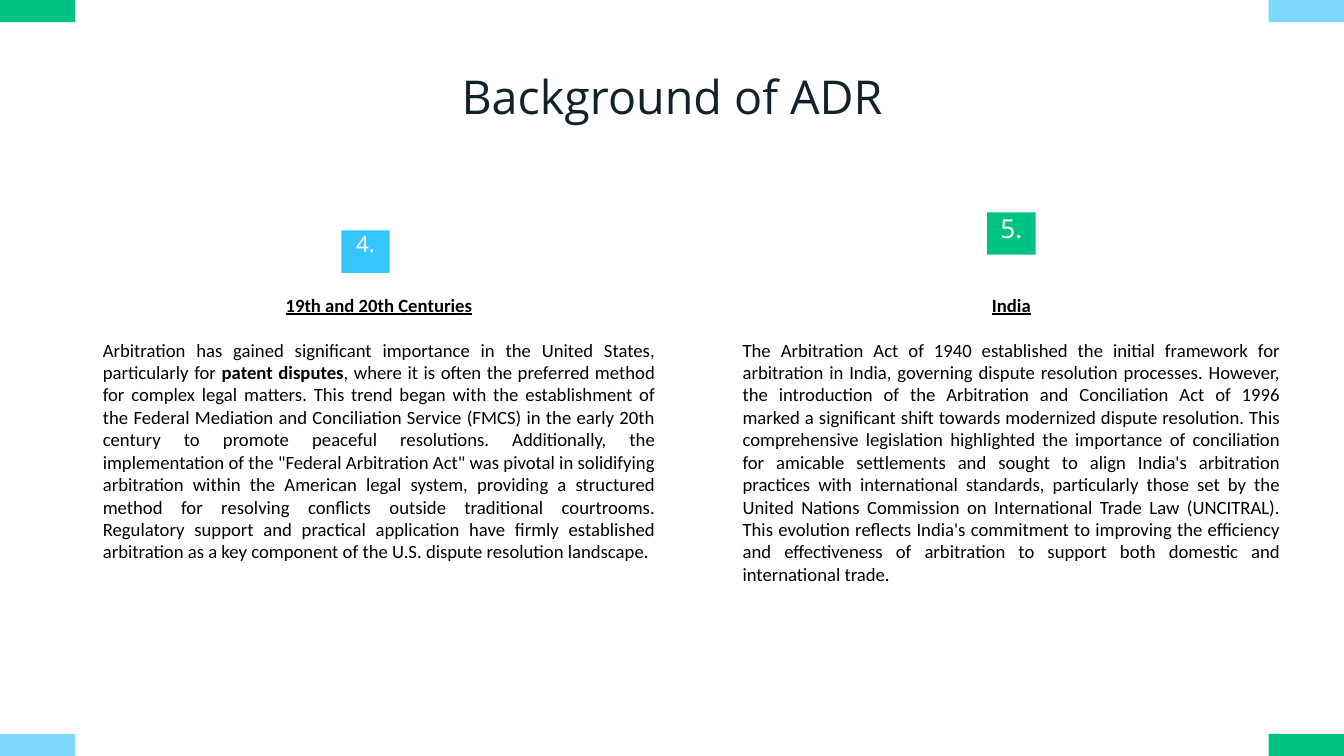
"""Build the "Background of ADR" slide with two numbered history columns."""
from lxml import etree
from pptx import Presentation
from pptx import util as u
from pptx.dml import color
from pptx.enum import shapes, text
from pptx.oxml import ns

COLOURS = {"sky": "7ED8FD", "blue": "36C5FF", "green": "00C282",
           "navy": "12222B", "black": "000000", "white": "FFFFFF"}
WIDTH, HEIGHT = 20, 11.25
CORNER_W, CORNER_H = 1.12, 0.33


def write(paragraph, words, font="Calibri", size=20, colour="black", bold=False,
          underline=False, align=text.PP_ALIGN.CENTER):
    paragraph.alignment = align
    run = paragraph.add_run()
    run.text = words
    run.font.name, run.font.size = font, u.Pt(size)
    run.font.bold, run.font.underline = bold, underline
    run.font.color.rgb = color.RGBColor.from_string(COLOURS[colour])


def place(part, left, top, width, height):
    part.left, part.top = u.Inches(left), u.Inches(top)
    part.width, part.height = u.Inches(width), u.Inches(height)
    frame = part.text_frame
    frame.margin_left = frame.margin_top = frame.margin_right = frame.margin_bottom = 0
    frame.word_wrap = True
    frame.auto_size = text.MSO_AUTO_SIZE.NONE
    frame.vertical_anchor = text.MSO_ANCHOR.TOP
    return frame


prs = Presentation()
prs.slide_width, prs.slide_height = u.Inches(WIDTH), u.Inches(HEIGHT)
slide = prs.slides.add_slide(prs.slide_layouts[3])

heading = place(slide.shapes.title, 3.47, 1.04, 13.07, 0.81).paragraphs[0]
heading.line_spacing = u.Pt(58)
write(heading, "Background of ADR", font="Open Sans", size=50, colour="navy")

columns = [
    (1, (1.53, 4.37, 8.22, 4.38), "19th and 20th Centuries", [
        ("Arbitration has gained significant importance in the United States, "
         "particularly for ", False),
        ("patent disputes", True),
        (", where it is often the preferred method for complex legal matters. This trend "
         "began with the establishment of the Federal Mediation and Conciliation Service "
         "(FMCS) in the early 20th century to promote peaceful resolutions. Additionally, "
         "the implementation of the \"Federal Arbitration Act\" was pivotal in solidifying "
         "arbitration within the American legal system, providing a structured method for "
         "resolving conflicts outside traditional courtrooms. Regulatory support and "
         "practical application have firmly established arbitration as a key component of "
         "the U.S. dispute resolution landscape.", False)]),
    (2, (11.05, 4.37, 8, 5.05), "India", [
        ("The Arbitration Act of 1940 established the initial framework for arbitration in "
         "India, governing dispute resolution processes. However, the introduction of the "
         "Arbitration and Conciliation Act of 1996 marked a significant shift towards "
         "modernized dispute resolution. This comprehensive legislation highlighted the "
         "importance of conciliation for amicable settlements and sought to align India's "
         "arbitration practices with international standards, particularly those set by the "
         "United Nations Commission on International Trade Law (UNCITRAL). This evolution "
         "reflects India's commitment to improving the efficiency and effectiveness of "
         "arbitration to support both domestic and international trade.", False)]),
]
for index, box, era, history in columns:
    frame = place(slide.placeholders[index], *box)
    era_line, history_text = frame.paragraphs[0], frame.add_paragraph()
    for paragraph, gap in ((era_line, 0), (history_text, 24)):
        properties = paragraph._p.get_or_add_pPr()
        properties.set("marL", "0")
        properties.set("indent", "0")
        etree.SubElement(properties, ns.qn("a:buNone"))
        paragraph.space_before = u.Pt(gap)
    write(era_line, era, bold=True, underline=True)
    for words, bold in history:
        write(history_text, words, bold=bold, align=text.PP_ALIGN.JUSTIFY)

right, bottom = WIDTH - CORNER_W, HEIGHT - CORNER_H
blocks = [
    (0, bottom, CORNER_W, CORNER_H, "sky", "", 0),
    (right, 0, CORNER_W, CORNER_H, "sky", "", 0),
    (5.08, 3.43, 0.72, 0.63, "blue", "4.", 24),
    (14.69, 3.16, 0.72, 0.63, "green", "5.", 28),
    (0, 0, CORNER_W, CORNER_H, "green", "", 0),
    (right, bottom, CORNER_W, CORNER_H, "green", "", 0),
]
for left, top, width, height, fill, number, size in blocks:
    block = slide.shapes.add_shape(shapes.MSO_SHAPE.RECTANGLE, 0, 0, 0, 0)
    frame = place(block, left, top, width, height)
    block.shadow.inherit = False
    block.fill.solid()
    block.fill.fore_color.rgb = color.RGBColor.from_string(COLOURS[fill])
    block.line.fill.background()
    if number:
        write(frame.paragraphs[0], number, font="Noto Sans", size=size, colour="white")

prs.save("out.pptx")
